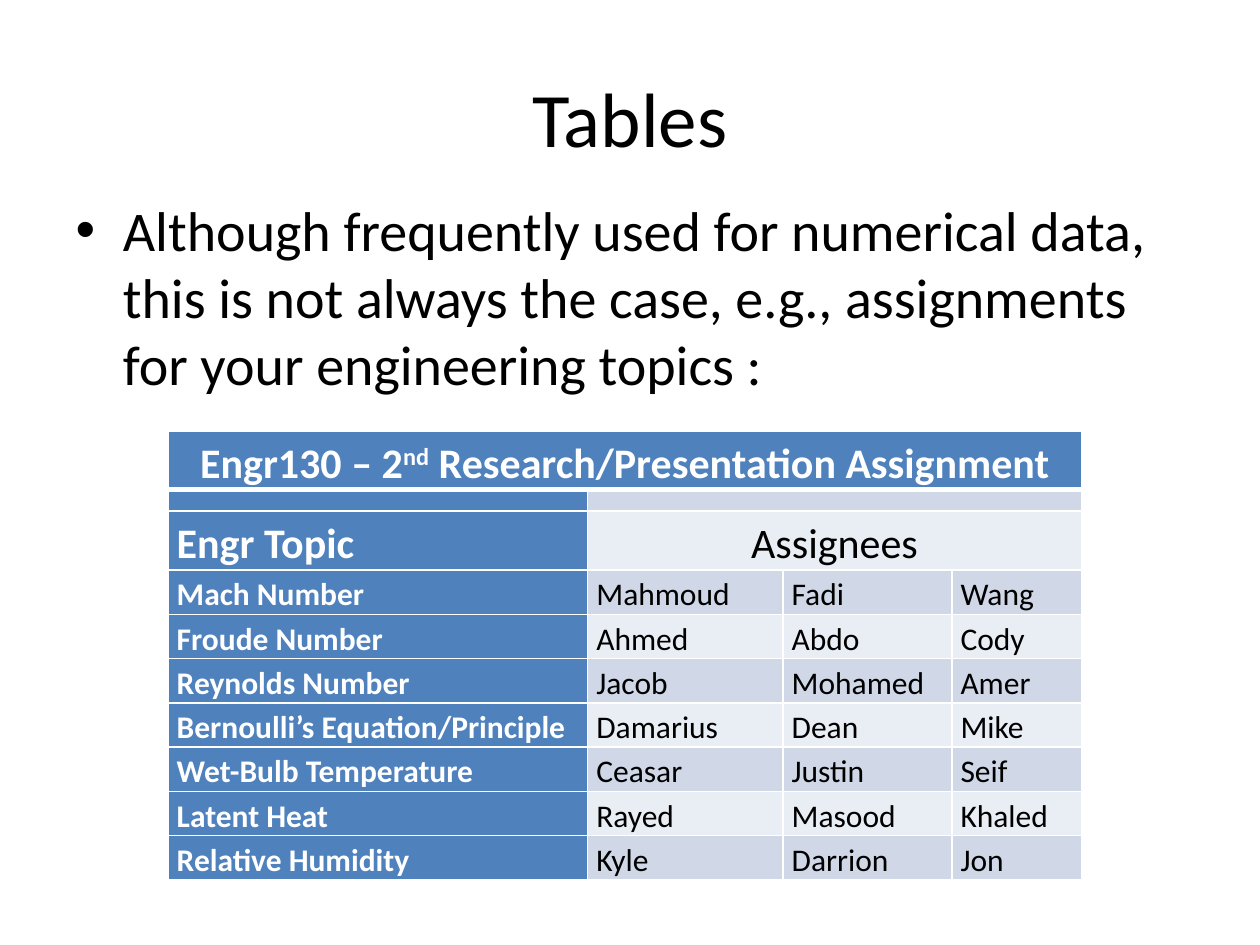
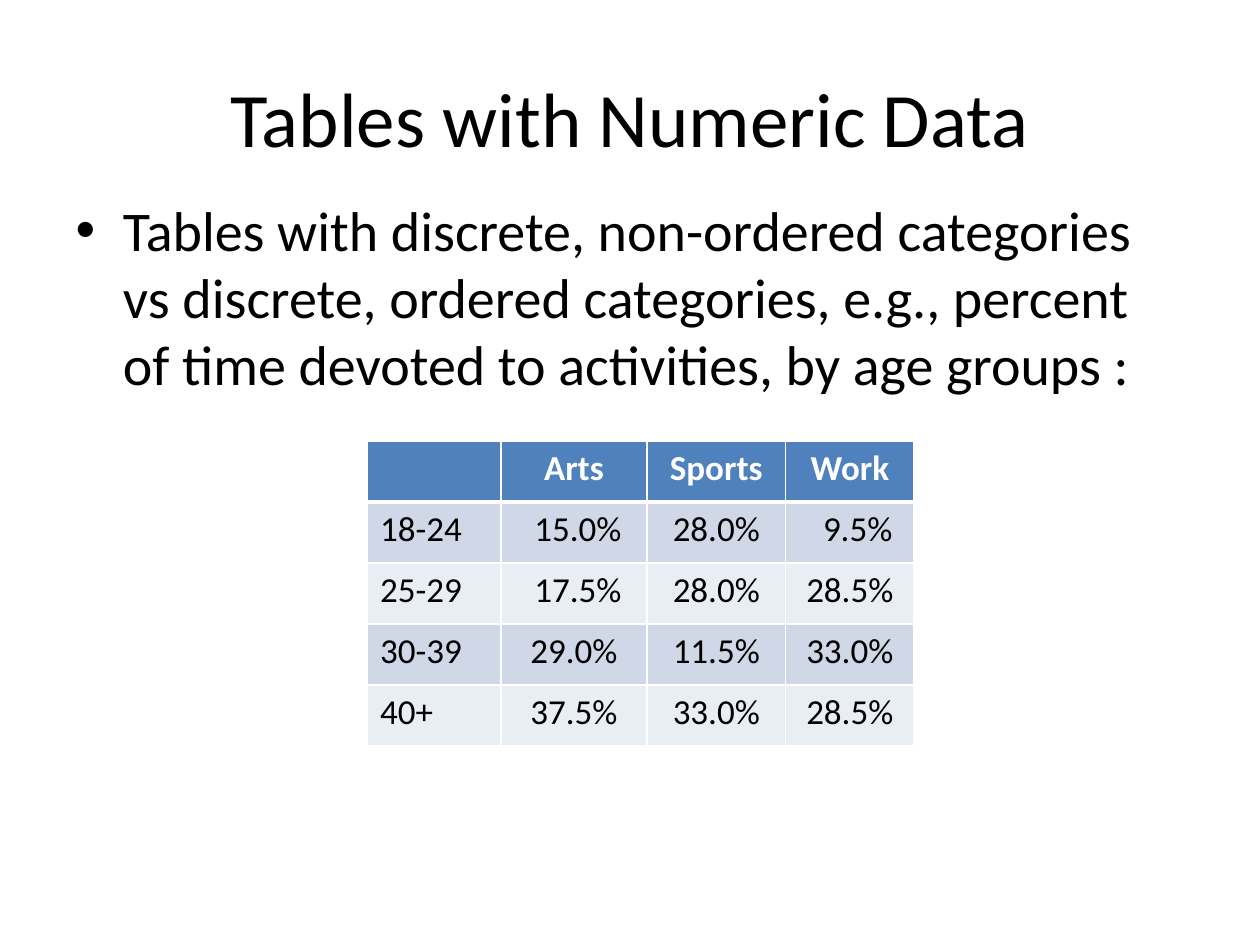
from lxml import etree
from pptx import Presentation
from pptx.dml.color import RGBColor
from pptx.enum.text import MSO_ANCHOR, PP_ALIGN
from pptx.oxml.ns import qn
from pptx.util import Pt

LEFT, CENTER = PP_ALIGN.LEFT, PP_ALIGN.CENTER
TOP, MIDDLE = MSO_ANCHOR.TOP, MSO_ANCHOR.MIDDLE
FONT = "Calibri"
COLORS = {
    "text": "000000",
    "header": "4F81BD",
    "header_text": "FFFFFF",
    "border": "FFFFFF",
    "band_dark": "D0D8E8",
    "band_light": "E9EDF4",
}
TITLE_BOX = (36, 21.6, 648, 90)
BODY_BOX = (36, 108, 648, 356.4)
THIN, THICK = 1, 3
EMPTY_SIZE = 10

ASSIGNMENTS = [
    ("Mach Number", "Mahmoud", "Fadi", "Wang"),
    ("Froude Number", "Ahmed", "Abdo", "Cody"),
    ("Reynolds Number", "Jacob", "Mohamed", "Amer"),
    ("Bernoulli’s Equation/Principle", "Damarius", "Dean", "Mike"),
    ("Wet-Bulb Temperature", "Ceasar", "Justin", "Seif"),
    ("Latent Heat", "Rayed", "Masood", "Khaled"),
    ("Relative Humidity", "Kyle", "Darrion", "Jon"),
]
ACTIVITIES = [
    ("", "Arts", "Sports", "Work"),
    ("18-24", "15.0%", "28.0%", "9.5%"),
    ("25-29", "17.5%", "28.0%", "28.5%"),
    ("30-39", "29.0%", "11.5%", "33.0%"),
    ("40+", "37.5%", "33.0%", "28.5%"),
]
ACTIVITY_INDENTS = {(1, 1): 4.5, (2, 1): 4.5, (1, 3): 9}


def write_text(frame, text, size, color="text", bold=False, align=LEFT,
               spacing=None, anchor=None):
    """Fill a frame with one paragraph; text is a string or (string, baseline) pairs."""
    if anchor is not None:
        frame.vertical_anchor = anchor
    paragraph = frame.paragraphs[0]
    paragraph.alignment = align
    paragraph.space_before = Pt(0)
    if spacing:
        paragraph.line_spacing = spacing
    for part, baseline in [(text, 0)] if isinstance(text, str) else text:
        run = paragraph.add_run()
        run.text = part
        run.font.name = FONT
        run.font.size = Pt(size)
        run.font.bold = bold
        run.font.color.rgb = RGBColor.from_string(COLORS[color])
        if baseline:
            run.font._element.set("baseline", str(baseline * 1000))


def set_empty_size(cell, size):
    """Keep an empty cell from growing to the default text height."""
    paragraph = cell.text_frame.paragraphs[0]
    etree.SubElement(paragraph._p, qn("a:endParaRPr"), sz=str(size * 100))


def set_borders(cell, top=THIN, bottom=THIN):
    properties = cell._tc.get_or_add_tcPr()
    for side, width in zip("LRTB", (THIN, THIN, top, bottom)):
        line = etree.SubElement(properties, qn(f"a:ln{side}"), w=str(Pt(width)))
        fill = etree.SubElement(line, qn("a:solidFill"))
        etree.SubElement(fill, qn("a:srgbClr"), val=COLORS["border"])


def add_table(slide, left, top, column_widths, row_heights, header_column=False):
    """Add a table with a header row, banded rows and white borders."""
    table = slide.shapes.add_table(
        len(row_heights), len(column_widths), Pt(left), Pt(top),
        Pt(sum(column_widths)), Pt(sum(row_heights))).table
    for column, width in zip(table.columns, column_widths):
        column.width = Pt(width)
    for row_index, height in enumerate(row_heights):
        table.rows[row_index].height = Pt(height)
        band = "band_dark" if row_index % 2 else "band_light"
        for column_index in range(len(column_widths)):
            cell = table.cell(row_index, column_index)
            is_header = row_index == 0 or (header_column and column_index == 0)
            set_borders(cell, top=THICK if row_index == 1 else THIN,
                        bottom=THICK if row_index == 0 else THIN)
            cell.fill.solid()
            cell.fill.fore_color.rgb = RGBColor.from_string(
                COLORS["header" if is_header else band])
    return table


def add_content_slide(presentation, title, bullet):
    slide = presentation.slides.add_slide(presentation.slide_layouts[1])
    for shape, box in zip(slide.placeholders, (TITLE_BOX, BODY_BOX)):
        shape.left, shape.top, shape.width, shape.height = map(Pt, box)
    write_text(slide.shapes.title.text_frame, title, size=44, align=CENTER,
               anchor=MIDDLE)
    write_text(slide.placeholders[1].text_frame, bullet, size=32, anchor=TOP)
    return slide


def add_assignment_table(slide, left, top):
    heading_height, spacer_height, topic_height = 33.7, 12.3, 25.27
    heights = [heading_height, spacer_height, heading_height]
    heights += [topic_height] * len(ASSIGNMENTS)
    table = add_table(slide, left, top, [239.8, 111.6, 96.5, 74.2], heights,
                      header_column=True)
    heading = [("Engr130 – 2", 0), ("nd", 30),
               (" Research/Presentation Assignment", 0)]
    rows = [(heading,), (), ("Engr Topic", "Assignees"), *ASSIGNMENTS]
    table.cell(0, 0).merge(table.cell(0, 3))
    for row_index in (1, 2):
        table.cell(row_index, 1).merge(table.cell(row_index, 3))
    for row_index, row in enumerate(rows):
        for column_index in range(4):
            cell = table.cell(row_index, column_index)
            cell.margin_left = cell.margin_right = Pt(5)
            cell.margin_top = cell.margin_bottom = 0
            if column_index >= len(row):
                set_empty_size(cell, EMPTY_SIZE)
                continue
            is_header = column_index == 0
            is_centered = row_index == 0 or (row_index == 2 and not is_header)
            write_text(cell.text_frame, row[column_index],
                       size=24 if row_index < 3 else 18,
                       color="header_text" if is_header else "text",
                       bold=is_header, align=CENTER if is_centered else LEFT,
                       spacing=1.15)


def add_activity_table(slide, left, top):
    table = add_table(slide, left, top, [76.3, 83.5, 79.2, 73.4],
                      [34.85] * len(ACTIVITIES))
    for row_index, row in enumerate(ACTIVITIES):
        for column_index, text in enumerate(row):
            cell = table.cell(row_index, column_index)
            indent = ACTIVITY_INDENTS.get((row_index, column_index), 0)
            cell.margin_left = Pt(7.2 + indent)
            if not text:
                set_empty_size(cell, EMPTY_SIZE)
                continue
            is_header = row_index == 0
            write_text(cell.text_frame, text, size=20, bold=is_header,
                       color="header_text" if is_header else "text",
                       align=CENTER if column_index else LEFT)


def main():
    presentation = Presentation()
    presentation.slide_width, presentation.slide_height = Pt(720), Pt(540)

    slide = add_content_slide(
        presentation, "Tables",
        "Although frequently used for numerical data, this is not always the "
        "case, e.g., assignments for your engineering topics :")
    add_assignment_table(slide, left=96, top=246.2)

    slide = add_content_slide(
        presentation, "Tables with Numeric Data",
        "Tables with discrete, non-ordered categories vs discrete, ordered "
        "categories, e.g., percent of time devoted to activities, by age groups :")
    add_activity_table(slide, left=210, top=252)

    presentation.save("out.pptx")


if __name__ == "__main__":
    main()
